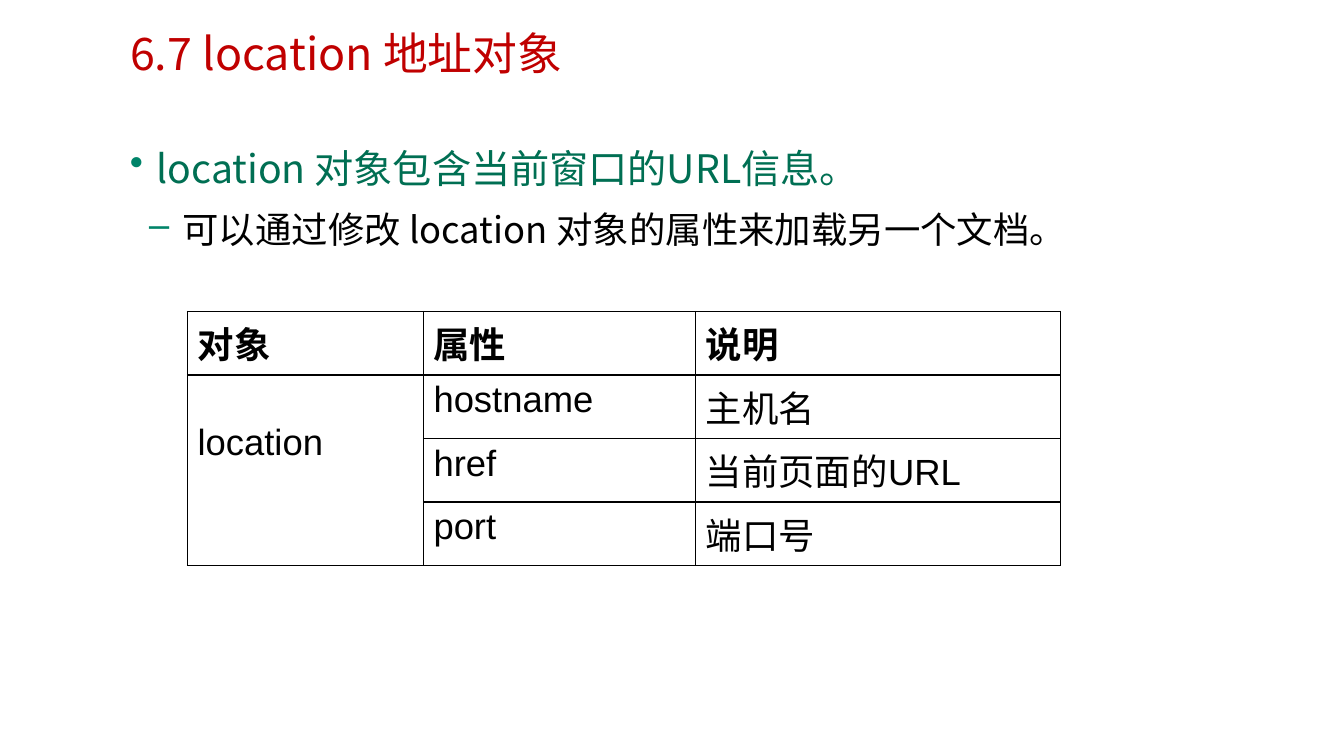
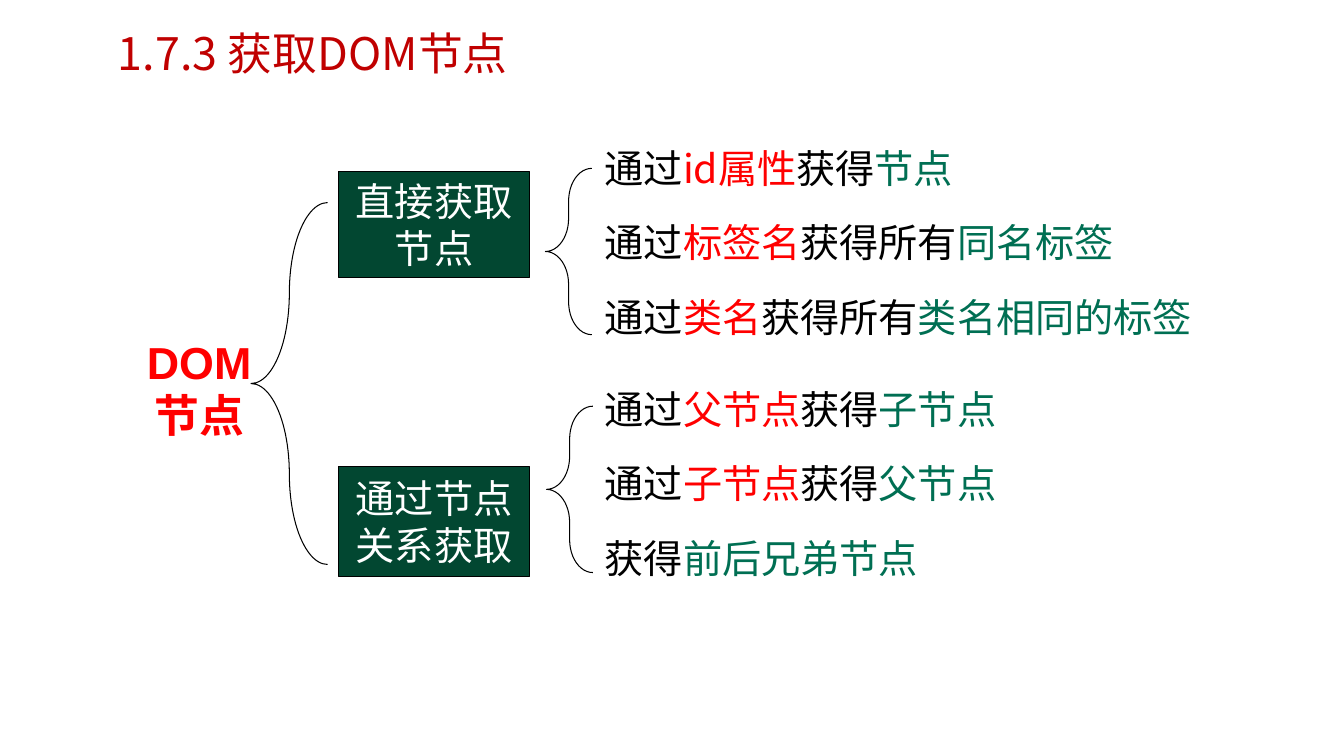
from dataclasses import dataclass
from typing import NamedTuple

from pptx import Presentation
from pptx import util as u
from pptx.dml.color import RGBColor
from pptx.enum import shapes, text
from pptx.oxml import ns, xmlchemy


@dataclass(frozen=True)
class Theme:
    red: str = "C00000"
    accent: str = "FF0000"
    green: str = "006F53"
    bullet: str = "008469"
    box: str = "024731"
    black: str = "000000"
    white: str = "FFFFFF"
    sans: str = "Noto Sans CJK SC"
    arial: str = "Arial"
    title_size: int = 32
    text_size: int = 28
    small_size: int = 26
    line: float = 0.75
    border: float = 1


THEME = Theme()


class Box(NamedTuple):
    left: float
    top: float
    width: float
    height: float

    def lengths(self) -> list:
        return [u.Inches(value) for value in self]


class Span(NamedTuple):
    text: str
    color: str = THEME.black


class Bullet(NamedTuple):
    text: str
    mark: str
    margin: float
    hanging: float
    size: int
    color: str


class Branch(NamedTuple):
    label: str
    box: Box
    brace: Box
    first_top: float
    methods: list


# Shared drawing helpers
def add_text(paragraph, words: str, *, size: int = THEME.text_size, color: str = THEME.black,
             latin: str = THEME.sans, asian: str = THEME.sans, bold: bool = False) -> None:
    run = paragraph.add_run()
    run.text = words
    run.font.size = u.Pt(size)
    run.font.bold = bold
    run.font.name = latin
    run.font.color.rgb = RGBColor.from_string(color)
    east_asian = xmlchemy.OxmlElement("a:ea")
    east_asian.set("typeface", asian)
    run.font._element.append(east_asian)


def set_frame(frame, anchor=text.MSO_ANCHOR.TOP, pad: float = 0) -> None:
    frame.word_wrap = True
    frame.auto_size = text.MSO_AUTO_SIZE.NONE
    frame.vertical_anchor = anchor
    frame.margin_left = frame.margin_right = u.Inches(0.1)
    frame.margin_top = frame.margin_bottom = u.Inches(pad)


def add_textbox(slide, box: Box, anchor=text.MSO_ANCHOR.TOP, pad: float = 0):
    frame = slide.shapes.add_textbox(*box.lengths()).text_frame
    set_frame(frame, anchor, pad)
    return frame


def add_titled_slide(deck, words: str, left: float, width: float):
    slide = deck.slides.add_slide(deck.slide_layouts[5])
    title = slide.shapes.title
    title.left, title.top, title.width, title.height = Box(left, 0.25, width, 0.54).lengths()
    set_frame(title.text_frame)
    heading = title.text_frame.paragraphs[0]
    heading.alignment = text.PP_ALIGN.LEFT
    add_text(heading, words, size=THEME.title_size, color=THEME.red)
    return slide


def add_outlined(slide, kind, box: Box, fill: str | None = None):
    shape = slide.shapes.add_shape(kind, *box.lengths())
    shape.shadow.inherit = False
    if fill:
        shape.fill.solid()
        shape.fill.fore_color.rgb = RGBColor.from_string(fill)
    else:
        shape.fill.background()
    shape.line.color.rgb = RGBColor.from_string(THEME.black)
    shape.line.width = u.Pt(THEME.line)
    return shape


def add_brace(slide, box: Box, curve: float) -> None:
    brace = add_outlined(slide, shapes.MSO_SHAPE.LEFT_BRACE, box)
    brace.adjustments[0] = curve
    brace.adjustments[1] = 0.5


# Bullets and table
def add_bullets(slide, box: Box, bullets: list[Bullet]) -> None:
    frame = add_textbox(slide, box, pad=0.05)
    for index, bullet in enumerate(bullets):
        paragraph = frame.add_paragraph() if index else frame.paragraphs[0]
        paragraph.line_spacing = 1.3
        paragraph.space_after = u.Pt(2)
        properties = paragraph._p.get_or_add_pPr()
        properties.set("marL", str(u.Inches(bullet.margin)))
        properties.set("indent", str(-u.Inches(bullet.hanging)))
        mark_color = xmlchemy.OxmlElement("a:buClr")
        rgb = xmlchemy.OxmlElement("a:srgbClr")
        rgb.set("val", THEME.bullet)
        mark_color.append(rgb)
        mark = xmlchemy.OxmlElement("a:buChar")
        mark.set("char", bullet.mark)
        properties.extend([mark_color, mark])
        add_text(paragraph, bullet.text, size=bullet.size, color=bullet.color)


def set_borders(cell) -> None:
    properties = cell._tc.get_or_add_tcPr()
    for side in ("a:lnL", "a:lnR", "a:lnT", "a:lnB"):
        line = xmlchemy.OxmlElement(side)
        line.set("w", str(u.Pt(THEME.border)))
        fill = xmlchemy.OxmlElement("a:solidFill")
        rgb = xmlchemy.OxmlElement("a:srgbClr")
        rgb.set("val", THEME.black)
        fill.append(rgb)
        line.append(fill)
        properties.append(line)


def add_property_table(slide, box: Box, widths: list[float], rows: list[list[str]]) -> None:
    table = slide.shapes.add_table(len(rows), len(widths), *box.lengths()).table
    for column, width in zip(table.columns, widths):
        column.width = u.Inches(width)
    for row_index, row in enumerate(rows):
        table.rows[row_index].height = u.Inches(box.height / len(rows))
        for column_index, words in enumerate(row):
            cell = table.cell(row_index, column_index)
            set_borders(cell)
            cell.fill.background()
            if words:
                add_text(cell.text_frame.paragraphs[0], words, size=THEME.small_size,
                         latin=THEME.arial, bold=row_index == 0)
    # The object name covers all property rows
    owner = table.cell(1, 0)
    owner.merge(table.cell(len(rows) - 1, 0))
    owner.margin_top = u.Inches(0.47)


def build_location(deck) -> None:
    slide = add_titled_slide(deck, "6.7 location 地址对象", 1.19, 8.96)
    add_bullets(slide, Box(1.19, 1.24, 10.62, 1.7), [
        Bullet(" location 对象包含当前窗口的URL信息。", "•", 0.18, 0.18,
               THEME.text_size, THEME.green),
        Bullet(" 可以通过修改 location 对象的属性来加载另一个文档。", "–", 0.44, 0.25,
               THEME.small_size, THEME.black),
    ])
    add_property_table(slide, Box(1.86, 3.09, 8.66, 2.52), [2.34, 2.7, 3.62], [
        ["对象", "属性", "说明"],
        ["location", "hostname", "主机名"],
        ["", "href", "当前页面的URL"],
        ["", "port", "端口号"],
    ])


# Tree of ways to reach a node
def add_branch(slide, branch: Branch) -> None:
    label = add_outlined(slide, shapes.MSO_SHAPE.RECTANGLE, branch.box, THEME.box)
    set_frame(label.text_frame, text.MSO_ANCHOR.MIDDLE, 0.05)
    paragraph = label.text_frame.paragraphs[0]
    paragraph.alignment = text.PP_ALIGN.CENTER
    add_text(paragraph, branch.label, color=THEME.white, latin=THEME.arial, asian=THEME.arial)
    add_brace(slide, branch.brace, 0.71)
    for index, spans in enumerate(branch.methods):
        frame = add_textbox(slide, Box(5.9, branch.first_top + 0.74 * index, 6.2, 0.57))
        for span in spans:
            add_text(frame.paragraphs[0], span.text, color=span.color)


def by_key(key: str, verb: str, result: str) -> list[Span]:
    return [Span("通过"), Span(key, THEME.accent), Span(verb), Span(result, THEME.green)]


def build_dom_nodes(deck) -> None:
    slide = add_titled_slide(deck, "1.7.3 获取DOM节点", 1.07, 8.21)
    root = add_textbox(slide, Box(1.3, 3.26, 1.35, 1.18), text.MSO_ANCHOR.MIDDLE, 0.05)
    root.paragraphs[0].alignment = text.PP_ALIGN.CENTER
    add_text(root.paragraphs[0], "DOM节点", size=THEME.title_size, color=THEME.accent,
             latin=THEME.arial, asian=THEME.arial, bold=True)
    add_brace(slide, Box(2.49, 2.01, 0.76, 3.59), 1.26)

    branches = [
        Branch("直接获取节点", Box(3.36, 1.7, 1.89, 1.05), Box(5.41, 1.67, 0.46, 1.65), 1.43, [
            by_key("id属性", "获得", "节点"),
            by_key("标签名", "获得所有", "同名标签"),
            by_key("类名", "获得所有", "类名相同的标签"),
        ]),
        Branch("通过节点关系获取", Box(3.36, 4.63, 1.89, 1.09), Box(5.42, 4.03, 0.46, 1.65), 3.82, [
            by_key("父节点", "获得", "子节点"),
            by_key("子节点", "获得", "父节点"),
            [Span("获得"), Span("前后兄弟节点", THEME.green)],
        ]),
    ]
    for branch in branches:
        add_branch(slide, branch)


def main() -> None:
    deck = Presentation()
    deck.slide_width, deck.slide_height = u.Inches(13.33), u.Inches(7.5)
    build_location(deck)
    build_dom_nodes(deck)
    deck.save("out.pptx")


if __name__ == "__main__":
    main()
